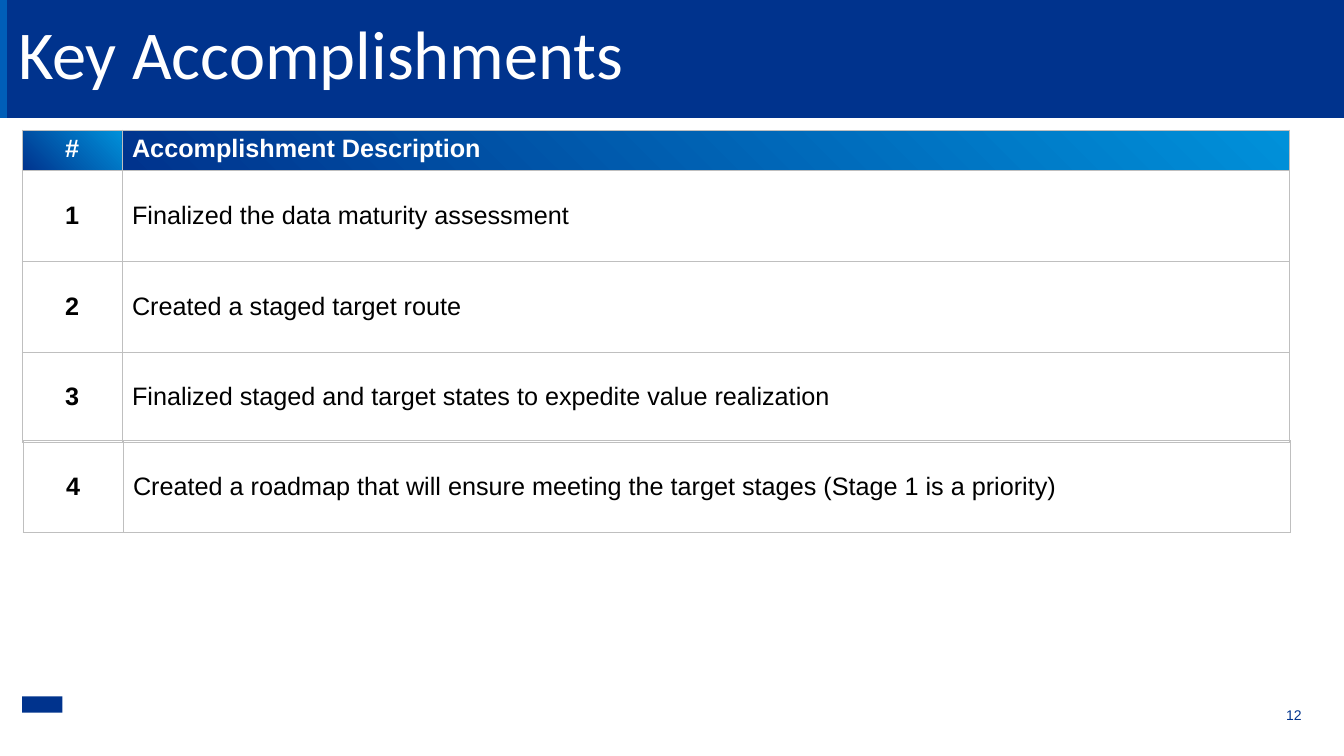
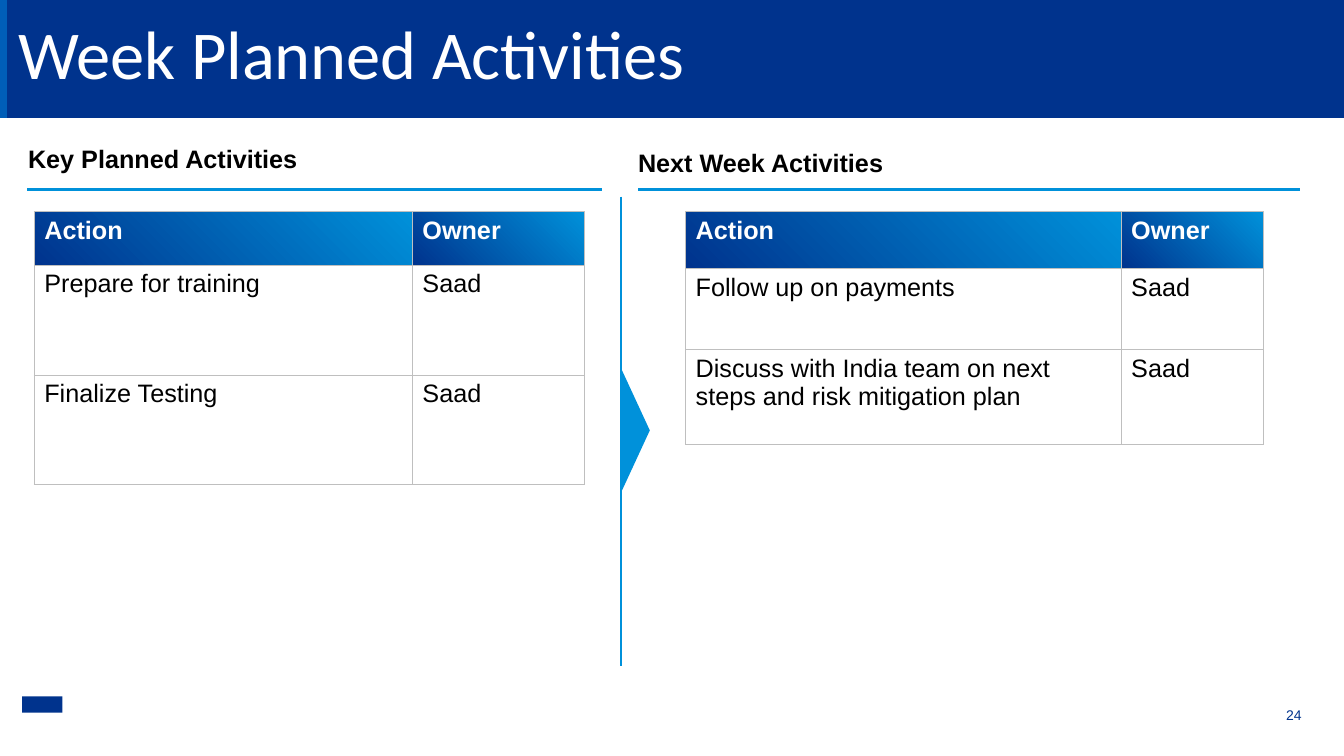
import lxml.etree
import pptx
import pptx.dml.color
import pptx.enum.dml
import pptx.enum.shapes
import pptx.enum.text
import pptx.oxml
import pptx.oxml.ns
import pptx.util

Inches = pptx.util.Inches
Pt = pptx.util.Pt
ALIGN = pptx.enum.text.PP_ALIGN
ANCHOR = pptx.enum.text.MSO_ANCHOR
SHAPE = pptx.enum.shapes.MSO_SHAPE

NAVY, BLUE, SKY = "00338D", "005EB8", "0091DA"
WHITE, BLACK, GREY = "FFFFFF", "000000", "BFBFBF"


def rgb(value):
    return pptx.dml.color.RGBColor.from_string(value)


class StatusDeck:
    body_font = "Arial"
    title_font = "Calibri"
    width = 13.33

    def __init__(self):
        self.deck = pptx.Presentation()
        self.deck.slide_width = Inches(self.width)
        self.deck.slide_height = Inches(7.5)
        self.page = None

    def add_page(self, title, number):
        self.page = self.deck.slides.add_slide(self.deck.slide_layouts[5])
        self.shape(SHAPE.RECTANGLE, 0, -0.01, self.width, 1.18, NAVY)
        self.shape(SHAPE.RECTANGLE, 0, -0.01, 0.07, 1.18, BLUE)
        self.shape(SHAPE.RECTANGLE, 0.22, 6.91, 0.4, 0.16, NAVY)
        self.title(title)
        self.text(number, 11.16, 7.02, 1.75, 0.16, size=10, color=NAVY,
                  align=ALIGN.RIGHT, anchor=ANCHOR.BOTTOM, inset=0)

    def format(self, frame, size, color, bold=False, align=ALIGN.LEFT, font=None):
        for para in frame.paragraphs:
            para.alignment = align
            for span in para.runs:
                span.font.name = font or self.body_font
                span.font.size = Pt(size)
                span.font.bold = bold
                span.font.color.rgb = rgb(color)

    def set_insets(self, frame, inset):
        frame.margin_left = frame.margin_right = Inches(inset)
        frame.margin_top = frame.margin_bottom = Inches(inset / 2)

    def title(self, text):
        box = self.page.shapes.title
        box.left, box.top = Inches(0.18), Inches(0.29)
        box.width, box.height = Inches(8.92), Inches(0.46)
        frame = box.text_frame
        frame.text = text
        frame.auto_size = pptx.enum.text.MSO_AUTO_SIZE.NONE
        frame.vertical_anchor = ANCHOR.TOP
        self.set_insets(frame, 0)
        self.format(frame, 48.9, WHITE, font=self.title_font)
        frame.paragraphs[0].line_spacing = 0.77
        box.element.getparent().append(box.element)

    def text(self, text, left, top, width, height, size=18, color=BLACK,
             bold=False, align=ALIGN.LEFT, anchor=ANCHOR.TOP, inset=0.1):
        box = self.page.shapes.add_textbox(
            Inches(left), Inches(top), Inches(width), Inches(height))
        frame = box.text_frame
        frame.text = text
        frame.word_wrap = True
        frame.vertical_anchor = anchor
        self.set_insets(frame, inset)
        self.format(frame, size, color, bold, align)

    def shape(self, kind, left, top, width, height, color, rotation=0):
        shape = self.page.shapes.add_shape(
            kind, Inches(left), Inches(top), Inches(width), Inches(height))
        shape.shadow.inherit = False
        shape.fill.solid()
        shape.fill.fore_color.rgb = rgb(color)
        shape.line.fill.background()
        shape.rotation = rotation

    def line(self, x1, y1, x2, y2):
        line = self.page.shapes.add_connector(
            pptx.enum.shapes.MSO_CONNECTOR.STRAIGHT,
            Inches(x1), Inches(y1), Inches(x2), Inches(y2))
        line.line.color.rgb = rgb(SKY)
        line.line.width = Pt(1.5)
        lxml.etree.SubElement(line.element.spPr, pptx.oxml.ns.qn("a:effectLst"))

    def cell_borders(self, cell):
        properties = cell._tc.get_or_add_tcPr()
        for index, side in enumerate(("lnL", "lnR", "lnT", "lnB")):
            properties.insert(index, pptx.oxml.parse_xml(
                f'<a:{side} {pptx.oxml.ns.nsdecls("a")} w="{Pt(0.5)}"><a:solidFill>'
                f'<a:srgbClr val="{GREY}"/></a:solidFill></a:{side}>'))

    def header_fill(self, cell):
        cell.fill.gradient()
        cell.fill.gradient_angle = 45
        for stop, color in zip(cell.fill.gradient_stops, (NAVY, SKY)):
            stop.color.rgb = rgb(color)

    def table(self, left, top, widths, heights, rows, header=True, numbered=False):
        table = self.page.shapes.add_table(
            len(rows), len(widths), Inches(left), Inches(top),
            Inches(sum(widths)), Inches(sum(heights))).table
        table.first_row = header
        table.horz_banding = False
        for column, width in zip(table.columns, widths):
            column.width = Inches(width)
        for row, height in zip(table.rows, heights):
            row.height = Inches(height)
        for r, row in enumerate(rows):
            for c, text in enumerate(row):
                cell = table.cell(r, c)
                cell.text = text
                is_header = header and r == 0
                is_number = numbered and c == 0
                if is_header:
                    self.header_fill(cell)
                else:
                    cell.fill.background()
                if numbered and not is_header:
                    cell.vertical_anchor = ANCHOR.MIDDLE
                self.format(cell.text_frame, 18, WHITE if is_header else BLACK,
                            bold=is_header or is_number,
                            align=ALIGN.CENTER if is_number else ALIGN.LEFT)
                self.cell_borders(cell)


def accomplishments(status):
    status.add_page("Key Accomplishments", "12")
    widths = [0.99, 11.58]
    status.table(0.22, 1.29, widths, [0.37] + [0.9] * 3, [
        ("#", "Accomplishment Description"),
        ("1", "Finalized the data maturity assessment"),
        ("2", "Created a staged target route"),
        ("3", "Finalized staged and target states to expedite value realization"),
    ], numbered=True)
    status.table(0.23, 4.37, widths, [0.91], [
        ("4", "Created a roadmap that will ensure meeting the target stages "
              "(Stage 1 is a priority)"),
    ], header=False, numbered=True)


def planned_activities(status):
    status.add_page("Week Planned Activities", "24")
    header = ("Action", "Owner")
    status.table(0.34, 2.1, [3.75, 1.71], [0.53, 1.09, 1.09], [
        header,
        ("Prepare for training", "Saad"),
        ("Finalize Testing", "Saad"),
    ])
    status.table(6.8, 2.1, [4.32, 1.41], [0.56, 0.81, 0.94], [
        header,
        ("Follow up on payments", "Saad"),
        ("Discuss with India team on next steps and risk mitigation plan", "Saad"),
    ])
    status.text("Key Planned Activities", 0.18, 1.37, 5.13, 0.4, bold=True)
    status.text("Next Week Activities", 6.23, 1.41, 5.13, 0.4, bold=True)
    status.line(0.27, 1.88, 5.97, 1.88)
    status.line(6.33, 1.88, 12.89, 1.88)
    status.line(6.16, 1.95, 6.16, 6.61)
    status.shape(SHAPE.ISOSCELES_TRIANGLE, 5.7, 4.13, 1.21, 0.28, SKY, rotation=90)


def main():
    status = StatusDeck()
    accomplishments(status)
    planned_activities(status)
    status.deck.save("out.pptx")


if __name__ == "__main__":
    main()
